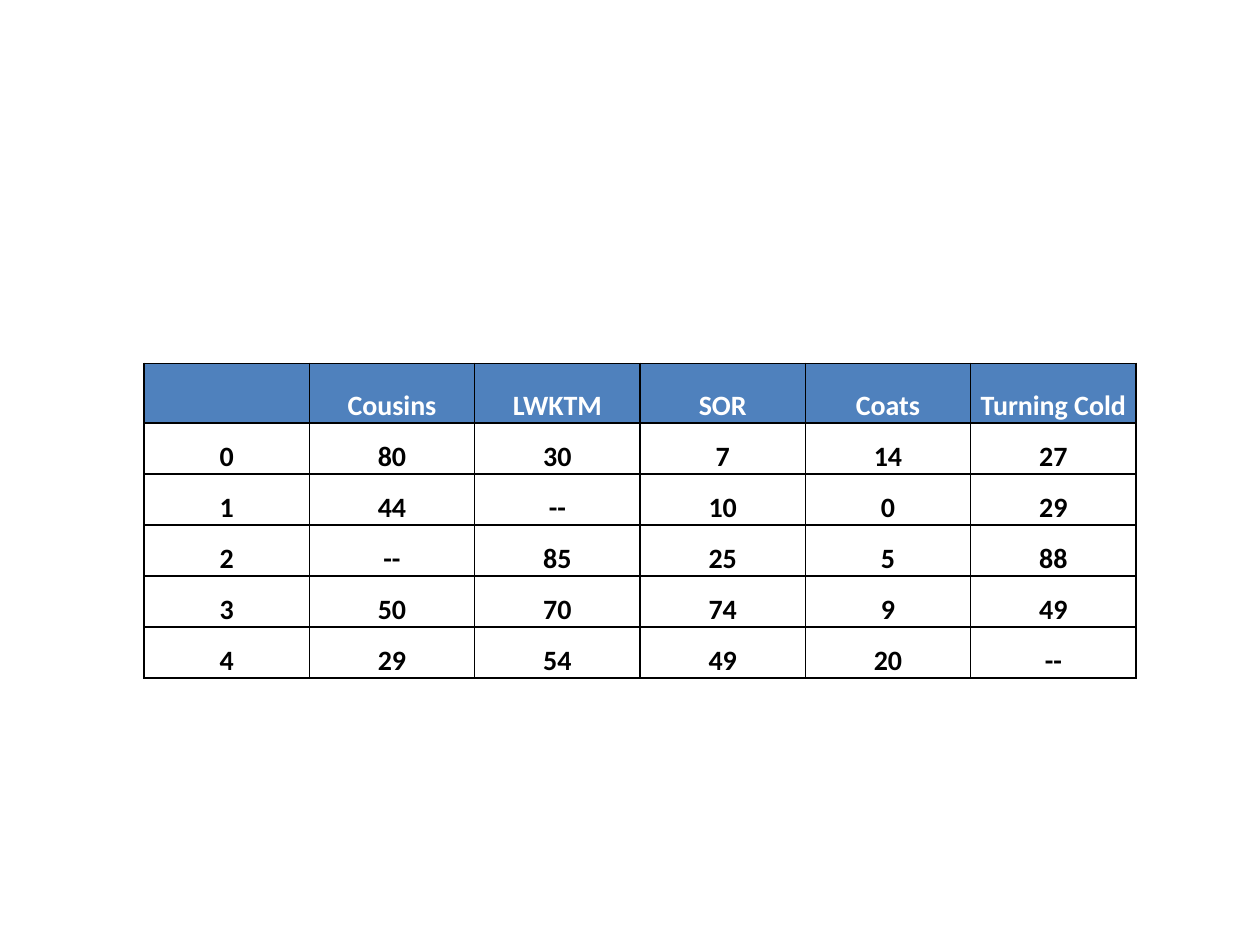
from lxml.etree import SubElement
from pptx import Presentation
from pptx.dml.color import RGBColor
from pptx.enum.text import MSO_ANCHOR, PP_ALIGN
from pptx.oxml.ns import qn
from pptx.util import Inches, Pt

COLORS = {"header": "4F81BD", "header_text": "FFFFFF", "text": "000000", "border": "000000"}
SHOWS = ["", "Cousins", "LWKTM", "SOR", "Coats", "Turning Cold"]
RATINGS = [
    ["0", "80", "30", "7", "14", "27"],
    ["1", "44", "--", "10", "0", "29"],
    ["2", "--", "85", "25", "5", "88"],
    ["3", "50", "70", "74", "9", "49"],
    ["4", "29", "54", "49", "20", "--"],
]


class SlideBuilder:
    font_name = "Calibri"
    font_size = Pt(16)
    border_width = Pt(1)
    inset = Inches(0.01)

    def __init__(self, presentation):
        self.width = presentation.slide_width
        self.height = presentation.slide_height
        self.slide = presentation.slides.add_slide(presentation.slide_layouts[6])

    def across(self, percent):
        return int(self.width * percent / 100)

    def down(self, percent):
        return int(self.height * percent / 100)

    def add_table(self, rows, left, top, width, header_height, row_height):
        """Add a table with a header row; lengths are percentages of the slide's size."""
        heights = [self.down(header_height)] + [self.down(row_height)] * (len(rows) - 1)
        frame = self.slide.shapes.add_table(
            len(rows), len(rows[0]), self.across(left), self.down(top),
            self.across(width), sum(heights))
        table = frame.table
        table.horz_banding = False
        for row_index, (values, height) in enumerate(zip(rows, heights)):
            table.rows[row_index].height = height
            for column_index, value in enumerate(values):
                self.format_cell(table.cell(row_index, column_index), value, row_index == 0)

    def format_cell(self, cell, value, is_header):
        cell.text = value
        cell.vertical_anchor = MSO_ANCHOR.BOTTOM
        cell.margin_left = cell.margin_right = cell.margin_top = self.inset
        cell.margin_bottom = 0
        paragraph = cell.text_frame.paragraphs[0]
        paragraph.alignment = PP_ALIGN.CENTER
        font = paragraph.font
        font.name, font.size, font.bold = self.font_name, self.font_size, True
        font.color.rgb = RGBColor.from_string(COLORS["header_text" if is_header else "text"])
        self.add_borders(cell)
        if is_header:
            cell.fill.solid()
            cell.fill.fore_color.rgb = RGBColor.from_string(COLORS["header"])
        else:
            cell.fill.background()

    def add_borders(self, cell):
        properties = cell._tc.get_or_add_tcPr()
        for side in ("a:lnL", "a:lnR", "a:lnT", "a:lnB"):
            line = SubElement(properties, qn(side), w=str(self.border_width))
            fill = SubElement(line, qn("a:solidFill"))
            SubElement(fill, qn("a:srgbClr"), val=COLORS["border"])


def main():
    presentation = Presentation()
    presentation.slide_width = Inches(10)
    presentation.slide_height = Inches(7.5)
    builder = SlideBuilder(presentation)
    builder.add_table([SHOWS] + RATINGS, left=11.43, top=38.45, width=78.74,
                      header_height=6.3, row_height=5.4)
    presentation.save("out.pptx")


if __name__ == "__main__":
    main()
